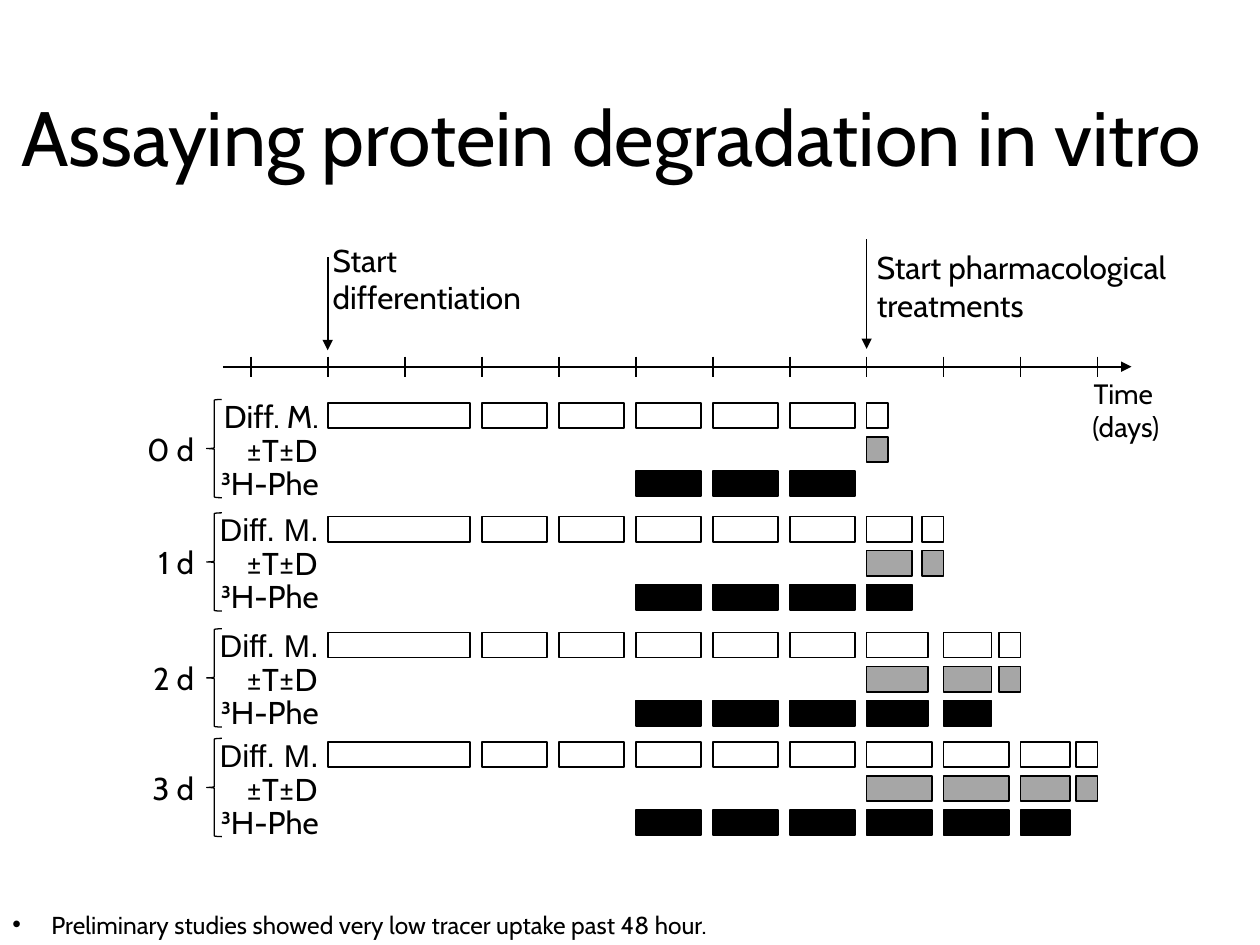
from lxml import etree
from pptx import Presentation, util as u
from pptx.dml.color import RGBColor
from pptx.enum import shapes, text
from pptx.oxml.ns import qn

BLACK = RGBColor(0x00, 0x00, 0x00)
WHITE = RGBColor(0xFF, 0xFF, 0xFF)
GREY = RGBColor(0xA6, 0xA6, 0xA6)
LEFT, RIGHT = text.PP_ALIGN.LEFT, text.PP_ALIGN.RIGHT
MIDDLE, BOTTOM = text.MSO_ANCHOR.MIDDLE, text.MSO_ANCHOR.BOTTOM

# Time grid in inches: one column per day, one row per medium
DAY, GAP, DAYS = 0.611, 0.09, 12
day_x = [1.99 + DAY * day for day in range(DAYS)]
DIFF_START, TRACER_START, TREAT_START = 1, 5, 8
AXIS_Y = 2.91
ROW, BAR_HEIGHT = 0.27, 0.2
PULSE = 0.17  # last, short incubation of every group

prs = Presentation()
prs.slide_width, prs.slide_height = u.Inches(10), u.Inches(7.5)
slide = prs.slides.add_slide(prs.slide_layouts[5])


def add_label(box, lines, size, align=RIGHT, anchor=MIDDLE, inset=0.05, font="Cabin"):
    frame = slide.shapes.add_textbox(*map(u.Inches, box)).text_frame
    frame.word_wrap = True
    frame.vertical_anchor = anchor
    frame.margin_left = u.Inches(inset)
    frame.margin_top = frame.margin_right = frame.margin_bottom = 0
    for i, line in enumerate(lines):
        paragraph = frame.paragraphs[0] if i == 0 else frame.add_paragraph()
        paragraph.alignment = align
        run = paragraph.add_run()
        run.text = line
        run.font.name, run.font.size = font, u.Pt(size)
        run.font.color.rgb = BLACK


def add_line(x1, y1, x2, y2, arrow=False):
    line = slide.shapes.add_connector(
        shapes.MSO_CONNECTOR.STRAIGHT, *map(u.Inches, (x1, y1, x2, y2)))
    line.line.color.rgb, line.line.width = BLACK, u.Pt(1)
    if arrow:
        etree.SubElement(line.line._get_or_add_ln(), qn("a:tailEnd"), type="triangle")
    etree.SubElement(line._element.spPr, qn("a:effectLst"))


# Title
title = slide.shapes.title
title.left, title.top, title.width, title.height = map(u.Inches, (0.07, 0.4, 9.87, 1.45))
title.text_frame.word_wrap = True
title.text_frame.auto_size = text.MSO_AUTO_SIZE.NONE
title.text_frame.vertical_anchor = MIDDLE
heading = title.text_frame.paragraphs[0]
heading.alignment, heading.line_spacing = LEFT, 0.9
run = heading.add_run()
run.text = "Assaying protein degradation in vitro"
run.font.name, run.font.size = "Cabin", u.Pt(44)
run.font.color.rgb = BLACK

# Time axis and its two events
add_line(1.77, AXIS_Y, 8.98, AXIS_Y, arrow=True)
for x in day_x:
    add_line(x, AXIS_Y - 0.08, x, AXIS_Y + 0.08)
add_line(day_x[DIFF_START], 2.04, day_x[DIFF_START], 2.78, arrow=True)
add_line(day_x[TREAT_START], 1.9, day_x[TREAT_START], 2.77, arrow=True)
add_label((2.64, 1.85, 1.55, 0.66), ["Start differentiation"], 18, LEFT, BOTTOM, 0)
add_label((6.96, 1.91, 2.32, 0.66), ["Start pharmacological treatments"], 18, LEFT, BOTTOM, 0)
add_label((6.88, 3.29, 2.32, 0.23), ["Time ", "(days)"], 16, RIGHT, BOTTOM, 0)

# Treatment groups: top of the first row, widths of the full treatment bars
FULL = DAY - GAP
groups = [
    (3.2, []),
    (4.1, [0.36]),
    (5.02, [0.49, 0.38]),
    (5.89, [FULL, FULL, 0.39]),
]
for days, (top, treatment_widths) in enumerate(groups):
    diff_font = "Arial" if days else "Cabin"
    add_label((0.72, top + 0.21, 0.82, 0.3), [f"{days} d"], 18)
    add_label((1.64, top - 0.05, 0.89, 0.3), ["Diff. M."], 18, font=diff_font)
    add_label((1.59, top + 0.22, 0.93, 0.3), ["±T±D"], 18)
    add_label((1.02, top + 0.48, 1.51, 0.3), ["³H-Phe"], 18)

    brace = slide.shapes.add_shape(
        shapes.MSO_SHAPE.LEFT_BRACE, *map(u.Inches, (1.64, top - 0.03, 0.12, 0.78)))
    brace.adjustments[0], brace.adjustments[1] = 0.053, 0.5
    brace.shadow.inherit = False
    brace.fill.background()
    brace.line.color.rgb, brace.line.width = BLACK, u.Pt(0.75)

    first_feed = [(day_x[DIFF_START], 2 * DAY - GAP)]
    daily = [(x, FULL) for x in day_x[DIFF_START + 2:TREAT_START]]
    treatment = list(zip(day_x[TREAT_START:], treatment_widths))
    pulse_x = day_x[TREAT_START + days] - (PULSE if days else 0)
    pulse = [(pulse_x, PULSE)]
    tracer = [(x, FULL) for x in day_x[TRACER_START:TREAT_START]]
    rows = [
        (WHITE, first_feed + daily + treatment + pulse),
        (GREY, treatment + pulse),
        (BLACK, tracer + treatment),
    ]
    for row, (colour, bars) in enumerate(rows):
        for x, width in bars:
            bar = slide.shapes.add_shape(
                shapes.MSO_SHAPE.RECTANGLE,
                *map(u.Inches, (x, top + row * ROW, width, BAR_HEIGHT)))
            bar.shadow.inherit = False
            bar.fill.solid()
            bar.fill.fore_color.rgb = colour
            bar.line.color.rgb, bar.line.width = BLACK, u.Pt(1)

# Footnote
footnote = slide.shapes.add_textbox(0, u.Inches(7.17), prs.slide_width, u.Inches(0.34)).text_frame
footnote.word_wrap = True
footnote.auto_size = text.MSO_AUTO_SIZE.SHAPE_TO_FIT_TEXT
remark = footnote.paragraphs[0]
properties = remark._p.get_or_add_pPr()
properties.set("marL", str(u.Inches(0.31)))
properties.set("indent", str(-u.Inches(0.31)))
etree.SubElement(properties, qn("a:buFont"), typeface="Arial")
etree.SubElement(properties, qn("a:buChar"), char="•")
run = remark.add_run()
run.text = "Preliminary studies showed very low tracer uptake past 48 hour."
run.font.name, run.font.size = "Cabin", u.Pt(14)
run.font.color.rgb = BLACK

prs.save("out.pptx")
